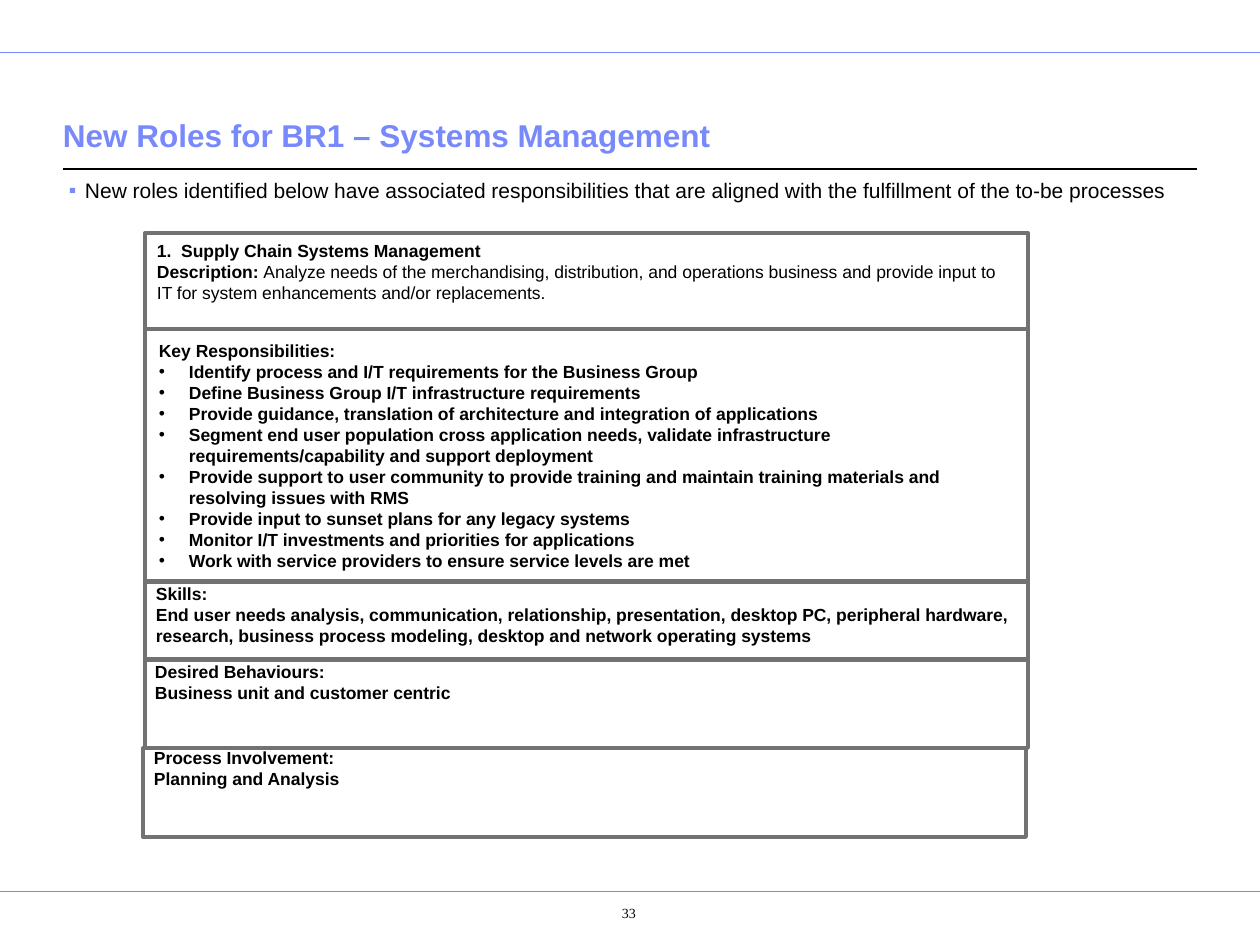
from dataclasses import dataclass

from lxml import etree
from pptx import Presentation
from pptx.dml.color import RGBColor
from pptx.enum.shapes import MSO_CONNECTOR, MSO_SHAPE
from pptx.enum.text import MSO_ANCHOR, PP_ALIGN
from pptx.oxml.ns import qn
from pptx.util import Emu, Pt

STRAIGHT, RECTANGLE = MSO_CONNECTOR.STRAIGHT, MSO_SHAPE.RECTANGLE
TOP, BOTTOM = MSO_ANCHOR.TOP, MSO_ANCHOR.BOTTOM
LEFT, CENTER = PP_ALIGN.LEFT, PP_ALIGN.CENTER
EMU_PER_PX = 914400 / 126


@dataclass(frozen=True)
class Theme:
    accent: str = "7889FB"
    ink: str = "000000"
    frame: str = "727272"
    sans: str = "Arial"
    serif: str = "Times New Roman"
    title_size: int = 18
    intro_size: int = 12
    body_size: int = 10
    number_size: int = 8
    hairline: float = 0.5
    rule: float = 0.75
    border: float = 2.25


THEME = Theme()

PANEL_LEFT, PANEL_WIDTH = 145, 883
PANELS = [  # left, top, height
    (PANEL_LEFT, 233, 96),
    (PANEL_LEFT, 329, 252),
    (PANEL_LEFT, 582, 77),
    (PANEL_LEFT, 660, 88),
    (PANEL_LEFT - 2, 748, 89),
]
RESPONSIBILITIES = [
    "Identify process and I/T requirements for the Business Group",
    "Define Business Group I/T infrastructure requirements",
    "Provide guidance, translation of architecture and integration of applications",
    "Segment end user population cross application needs, validate infrastructure "
    "requirements/capability and support deployment",
    "Provide support to user community to provide training and maintain training "
    "materials and resolving issues with RMS",
    "Provide input to sunset plans for any legacy systems",
    "Monitor I/T investments and priorities for applications",
    "Work with service providers to ensure service levels are met",
]
DESCRIPTION = (
    "Analyze needs of the merchandising, distribution, and operations business and "
    "provide input to IT for system enhancements and/or replacements."
)
SKILLS = (
    "End user needs analysis, communication, relationship, presentation, desktop PC, "
    "peripheral hardware, research, business process modeling, desktop and network "
    "operating systems"
)


def px(value):
    return Emu(round(value * EMU_PER_PX))


def apply(target, values):
    for name, value in values.items():
        setattr(target, name, value)


def add_rule(slide, left, right, y, color, width):
    rule = slide.shapes.add_connector(STRAIGHT, px(left), px(y), px(right), px(y))
    rule.line.color.rgb = RGBColor.from_string(color)
    rule.line.width = Pt(width)
    etree.SubElement(rule._element.spPr, qn("a:effectLst"))


def add_panel(slide, left, top, height):
    panel = slide.shapes.add_shape(
        RECTANGLE, px(left), px(top), px(PANEL_WIDTH), px(height))
    panel.shadow.inherit = False
    panel.fill.background()
    panel.line.color.rgb = RGBColor.from_string(THEME.frame)
    panel.line.width = Pt(THEME.border)


def add_text_box(slide, box, insets=(13, 6, 13, 6), anchor=TOP, wrap=True):
    """Return the text frame of an empty box; insets run left, top, right, bottom."""
    frame = slide.shapes.add_textbox(*map(px, box)).text_frame
    sides = ("margin_left", "margin_top", "margin_right", "margin_bottom")
    apply(frame, dict(zip(sides, map(px, insets))))
    apply(frame, {"word_wrap": wrap, "vertical_anchor": anchor})
    return frame


def set_indent(paragraph, margin, first_line=0):
    properties = paragraph._p.get_or_add_pPr()
    properties.set("marL", str(px(margin)))
    properties.set("indent", str(px(first_line)))
    return properties


def set_bullet(paragraph, mark, color, hang):
    properties = set_indent(paragraph, hang, -hang)
    bullet_color = etree.SubElement(properties, qn("a:buClr"))
    etree.SubElement(bullet_color, qn("a:srgbClr"), val=color)
    etree.SubElement(properties, qn("a:buFont"), typeface=THEME.sans)
    etree.SubElement(properties, qn("a:buChar"), char=mark)


def add_run(paragraph, text, size, bold=False, color=THEME.ink, face=THEME.sans):
    run = paragraph.add_run()
    run.text = text
    apply(run.font, {"size": Pt(size), "bold": bold, "name": face})
    run.font.color.rgb = RGBColor.from_string(color)


def add_section(slide, box, heading, body="", bullets=(), wrap=True):
    frame = add_text_box(slide, box, wrap=wrap)
    add_run(frame.paragraphs[0], heading, THEME.body_size, bold=True)
    if body:
        add_run(frame.add_paragraph(), body, THEME.body_size, bold=True)
    for item in bullets:
        paragraph = frame.add_paragraph()
        set_bullet(paragraph, "•", THEME.ink, 30)
        add_run(paragraph, item, THEME.body_size, bold=True)
    return frame


def add_header(slide):
    title = add_text_box(slide, (63, 81, 1134, 79), (0, 6, 0, 6), BOTTOM)
    add_run(title.paragraphs[0], "New Roles for BR1 – Systems Management",
            THEME.title_size, bold=True, color=THEME.accent)
    intro = add_text_box(slide, (63, 166, 1134, 694), (6, 11, 6, 6)).paragraphs[0]
    set_bullet(intro, "▪", THEME.accent, 16)
    apply(intro, {"alignment": LEFT, "line_spacing": 1.04})
    add_run(intro, "New roles identified below have associated responsibilities that "
            "are aligned with the fulfillment of the to-be processes", THEME.intro_size)


def add_role(slide):
    for panel in PANELS:
        add_panel(slide, *panel)
    role = add_section(slide, (144, 234, 882, 76), "1.  Supply Chain Systems Management")
    description = role.add_paragraph()
    add_run(description, "Description: ", THEME.body_size, bold=True)
    add_run(description, DESCRIPTION, THEME.body_size)
    add_section(slide, (146, 334, 856, 244), "Key Responsibilities:",
                bullets=RESPONSIBILITIES)
    add_section(slide, (143, 577, 883, 76), "Skills:", SKILLS)
    add_section(slide, (142, 655, 325, 55), "Desired Behaviours:",
                "Business unit and customer centric", wrap=False)
    add_section(slide, (141, 741, 215, 55), "Process Involvement:",
                "Planning and Analysis", wrap=False)


def add_page_number(slide):
    number = add_text_box(slide, (538, 896, 145, 44), (20, 9, 13, 6)).paragraphs[0]
    set_indent(number, 30)
    number.alignment = CENTER
    add_run(number, "33", THEME.number_size, face=THEME.serif)


def main():
    deck = Presentation()
    apply(deck, {"slide_width": px(1260), "slide_height": px(945)})
    slide = deck.slides.add_slide(deck.slide_layouts[6])
    for y in (52, 891):
        add_rule(slide, 0, 1260, y, THEME.accent, THEME.hairline)
    add_rule(slide, 63, 1197, 169, THEME.ink, THEME.rule)
    add_header(slide)
    add_role(slide)
    add_page_number(slide)
    deck.save("out.pptx")


if __name__ == "__main__":
    main()
